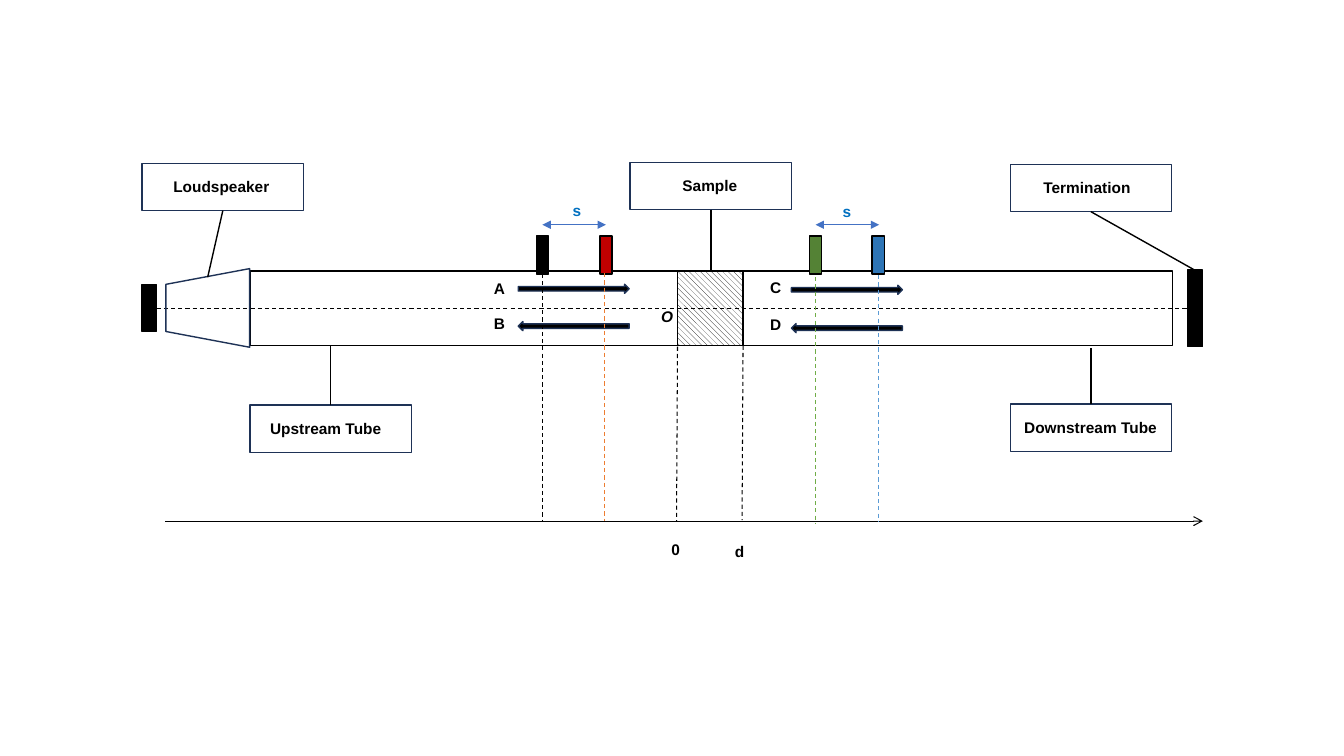
"""Draw a four-microphone impedance tube with its labels and position axis."""
from lxml.etree import SubElement
from pptx import Presentation
from pptx.dml.color import RGBColor
from pptx.enum.dml import MSO_LINE, MSO_PATTERN
from pptx.enum.shapes import MSO_CONNECTOR, MSO_SHAPE as SHAPE
from pptx.oxml.ns import qn
from pptx.util import Pt

PX = 9144
BLACK = RGBColor(0x00, 0x00, 0x00)
WHITE = RGBColor(0xFF, 0xFF, 0xFF)
NAVY = RGBColor(0x1E, 0x32, 0x56)
RED = RGBColor(0xC0, 0x00, 0x00)
GREEN = RGBColor(0x54, 0x82, 0x35)
BLUE = RGBColor(0x2E, 0x75, 0xB6)
SPACING_BLUE = RGBColor(0x44, 0x72, 0xC4)
SPACING_TEXT = RGBColor(0x00, 0x70, 0xC0)
ORANGE = RGBColor(0xED, 0x7D, 0x31)
LIGHT_GREEN = RGBColor(0x70, 0xAD, 0x47)
LIGHT_BLUE = RGBColor(0x5B, 0x9B, 0xD5)

prs = Presentation()
prs.slide_width, prs.slide_height = 1333 * PX, 750 * PX
s = prs.slides.add_slide(prs.slide_layouts[6])


def add_box(x, y, w, h, fill=None, line=BLACK, kind=SHAPE.RECTANGLE, rotation=0):
    sp = s.shapes.add_shape(kind, x * PX, y * PX, w * PX, h * PX)
    sp.shadow.inherit = False
    sp.rotation = rotation
    if fill is None:
        sp.fill.background()
    else:
        sp.fill.solid()
        sp.fill.fore_color.rgb = fill
    sp.line.color.rgb = line
    sp.line.width = Pt(1)
    return sp


def add_line(x1, y1, x2, y2, color=BLACK, width=0.75, dash=None, head=None, tail=None):
    cn = s.shapes.add_connector(MSO_CONNECTOR.STRAIGHT, x1 * PX, y1 * PX, x2 * PX, y2 * PX)
    cn.line.color.rgb = color
    cn.line.width = Pt(width)
    if dash:
        cn.line.dash_style = dash
    ln = cn.line._get_or_add_ln()
    for tag, end in (("a:headEnd", head), ("a:tailEnd", tail)):
        if end:
            SubElement(ln, qn(tag)).set("type", end)
    SubElement(cn._element.spPr, qn("a:effectLst"))


add_box(248, 269, 915, 74, WHITE)
sample = add_box(672, 269, 65, 74, WHITE)
sample.fill.patterned()
sample.fill.pattern = MSO_PATTERN.WIDE_DOWNWARD_DIAGONAL
sample.fill.fore_color.rgb = BLACK
sample.fill.back_color.rgb = WHITE

add_line(141, 306, 1193, 306, dash=MSO_LINE.DASH)
add_box(167, 264, 78, 83, line=NAVY, kind=SHAPE.FLOWCHART_MANUAL_OPERATION, rotation=90)
add_box(141, 282, 14, 47, BLACK)
add_box(1178, 268, 15, 76, BLACK)

for x, color in ((532, BLACK), (803, GREEN), (595, RED), (865, BLUE)):
    add_box(x, 234, 12, 38, color)

for x in (538, 809):
    add_line(x, 223, x + 63, 223, SPACING_BLUE, 0.5, head="triangle", tail="triangle")

for x, y, rotation in ((514, 282, 0), (785, 283, 0), (514, 319, 180), (785, 321, 180)):
    add_box(x, y, 110, 9, BLACK, NAVY, SHAPE.RIGHT_ARROW, rotation)

callouts = [
    (141, 162, (221, 209, 206, 275)),
    (248, 402, (328, 402, 328, 343)),
    (1002, 401, (1082, 401, 1082, 345)),
    (1002, 163, (1082, 210, 1185, 268)),
    (625, 161, (705, 208, 705, 269)),
]
for x, y, leader in callouts:
    add_box(x, y, 160, 47, line=NAVY)
    add_line(*leader, width=1)

add_line(164, 517, 1193, 517, tail="arrow")
positions = [
    (538, 272, 538, 517, BLACK),
    (600, 271, 600, 517, ORANGE),
    (809, 275, 809, 520, LIGHT_GREEN),
    (871, 273, 871, 518, LIGHT_BLUE),
    (672, 344, 671, 517, BLACK),
    (737, 343, 736, 516, BLACK),
]
for x1, y1, x2, y2, color in positions:
    add_line(x1, y1, x2, y2, color, dash=MSO_LINE.DASH)

labels = [
    ("Loudspeaker", 162, 171, 118, {}),
    ("Upstream Tube", 258, 411, 139, {}),
    ("Downstream Tube", 1006, 410, 160, {}),
    ("Termination", 1025, 172, 160, {}),
    ("Sample", 667, 170, 160, {}),
    ("A", 480, 272, 21, {}),
    ("C", 754, 271, 21, {}),
    ("B", 480, 307, 21, {}),
    ("D", 754, 308, 21, {}),
    ("s", 558, 195, 21, {"color": SPACING_TEXT}),
    ("s", 826, 196, 21, {"color": SPACING_TEXT}),
    ("0", 656, 531, 21, {}),
    ("d", 719, 533, 32, {}),
    ("O", 646, 300, 21, {"italic": True}),
]
for text, x, y, w, extra in labels:
    tf = s.shapes.add_textbox(x * PX, y * PX, w * PX, 29 * PX).text_frame
    tf.word_wrap = True
    r = tf.paragraphs[0].add_run()
    r.text = text
    font = {"name": "Arial", "size": Pt(11), "bold": True, "italic": extra.get("italic", False)}
    for key, value in font.items():
        setattr(r.font, key, value)
    r.font.color.rgb = extra.get("color", BLACK)

prs.save("out.pptx")
